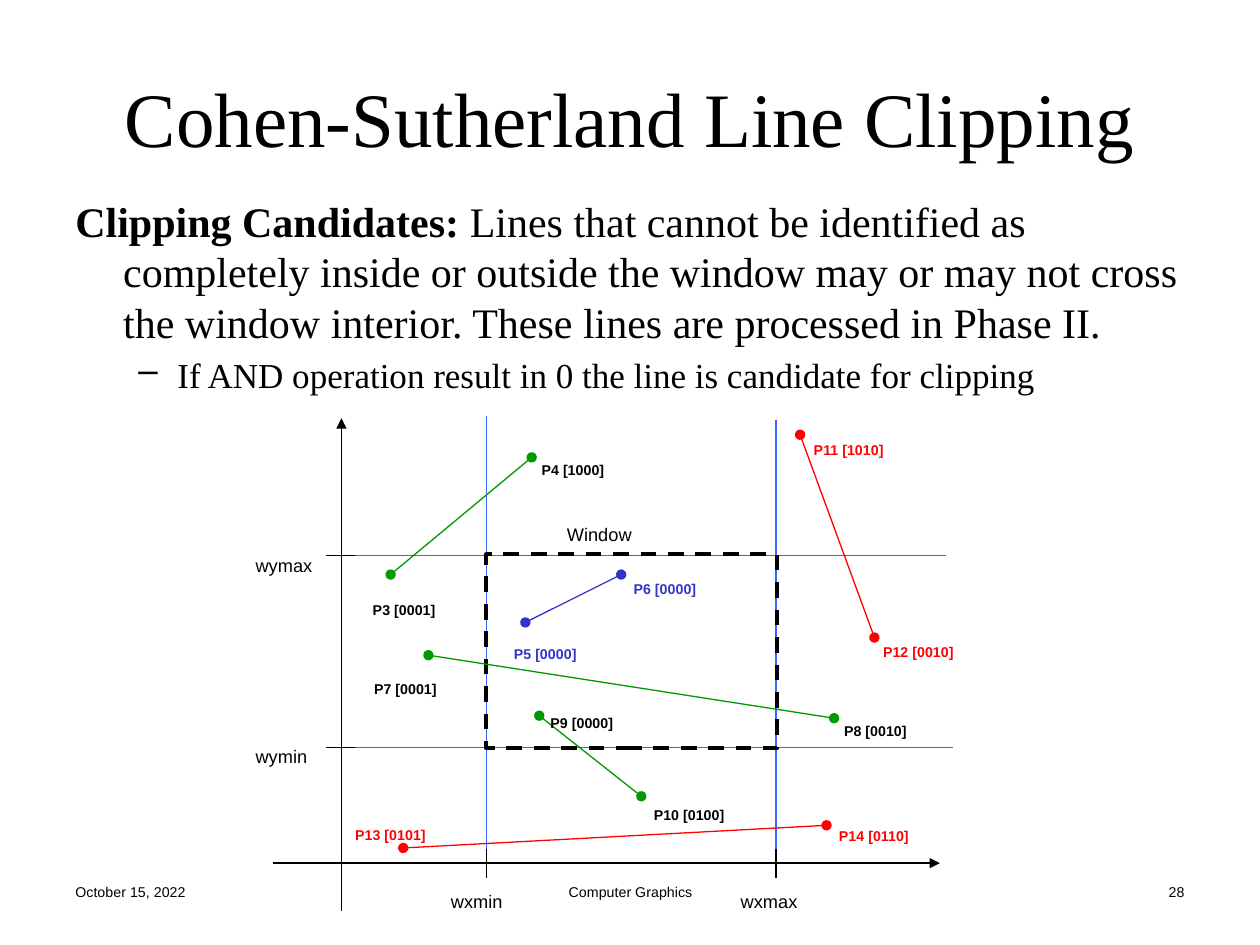
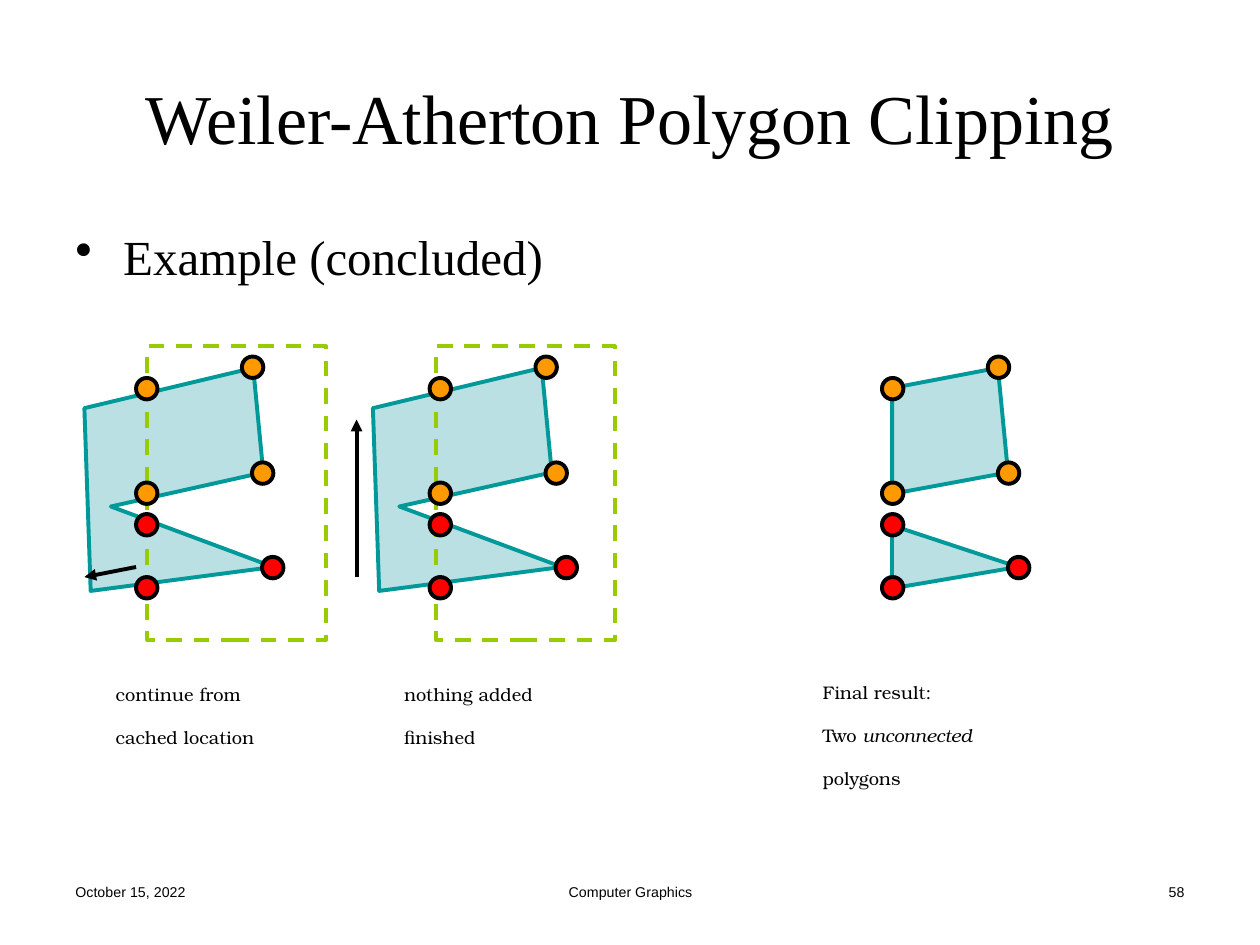
import pptx
import pptx.util
import pptx.dml.color
import pptx.enum.dml
import pptx.enum.shapes
import pptx.enum.text
import pptx.oxml
import pptx.oxml.ns
from lxml import etree

Inches = pptx.util.Inches
Pt = pptx.util.Pt
RGBColor = pptx.dml.color.RGBColor
Align = pptx.enum.text.PP_ALIGN
Shape = pptx.enum.shapes.MSO_SHAPE
qn = pptx.oxml.ns.qn

# Shared look
BLACK = RGBColor(0, 0, 0)
RED = RGBColor(0xFF, 0, 0)
GREEN = RGBColor(0, 0x99, 0)
INDIGO = RGBColor(0x33, 0x33, 0xCC)
GRID_BLUE = RGBColor(0x33, 0x66, 0xFF)
TEAL = RGBColor(0, 0x99, 0x99)
PALE_TEAL = RGBColor(0xBB, 0xE0, 0xE3)
LIME = RGBColor(0x99, 0xCC, 0)
ORANGE = RGBColor(0xFF, 0x99, 0)
SERIF, SANS, CAPTION = "Times New Roman", "Arial", "TeX Gyre Bonum"
THIN, THICK = 0.75, 2.25


def add_text_box(slide, left, top, width, height, middle=False):
    frame = slide.shapes.add_textbox(
        Inches(left), Inches(top), Inches(width), Inches(height)).text_frame
    frame.word_wrap = True
    if middle:
        frame.vertical_anchor = pptx.enum.text.MSO_ANCHOR.MIDDLE
    return frame


def add_run(paragraph, text, size, font, color=BLACK, bold=False, italic=False, lowered=False):
    run = paragraph.add_run()
    run.text = text
    run.font.size = Pt(size)
    run.font.name = font
    run.font.color.rgb = color
    run.font.bold = bold
    run.font.italic = italic
    if lowered:
        run.font._element.set("baseline", "-25000")


def set_indent(paragraph, margin, hanging, bullet=None):
    properties = paragraph._p.get_or_add_pPr()
    properties.set("marL", str(Inches(margin)))
    properties.set("indent", str(-Inches(hanging)))
    if bullet:
        etree.SubElement(properties, qn("a:buChar")).set("char", bullet)


def add_label(slide, text, left, top, width, height, size=14, color=BLACK,
              bold=False, align=Align.LEFT):
    paragraph = add_text_box(slide, left, top, width, height).paragraphs[0]
    paragraph.alignment = align
    add_run(paragraph, text, size, SANS, color, bold, lowered=True)


def add_caption(slide, left, top, width, lines):
    """Each line is a list of (text, italic) runs."""
    frame = add_text_box(slide, left, top, width, 0.7)
    for index, runs in enumerate(lines):
        paragraph = frame.add_paragraph() if index else frame.paragraphs[0]
        for text, italic in runs:
            add_run(paragraph, text, 18, CAPTION, italic=italic, lowered=True)


def add_line(slide, start, end, color=BLACK, width=THIN, head=None, tail=None):
    connector = slide.shapes.add_connector(
        pptx.enum.shapes.MSO_CONNECTOR.STRAIGHT, *map(Inches, (*start, *end)))
    connector.line.color.rgb = color
    connector.line.width = Pt(width)
    outline = connector.line._get_or_add_ln()
    for tag, kind in (("a:headEnd", head), ("a:tailEnd", tail)):
        if kind:
            etree.SubElement(outline, qn(tag)).set("type", kind)
    etree.SubElement(connector._element.spPr, qn("a:effectLst"))


def style_shape(shape, line_color, fill=None, dashed=False):
    shape.shadow.inherit = False
    if fill is None:
        shape.fill.background()
    else:
        shape.fill.solid()
        shape.fill.fore_color.rgb = fill
    shape.line.color.rgb = line_color
    shape.line.width = Pt(THICK)
    if dashed:
        shape.line.dash_style = pptx.enum.dml.MSO_LINE.DASH


def add_clip_window(slide, left, top, width, height, color):
    rectangle = slide.shapes.add_shape(
        Shape.RECTANGLE, Inches(left), Inches(top), Inches(width), Inches(height))
    style_shape(rectangle, color, dashed=True)


def add_polygon(slide, points, offset=0):
    corners = [(Inches(x + offset), Inches(y)) for x, y in points]
    builder = slide.shapes.build_freeform(*corners[0], scale=1.0)
    builder.add_line_segments(corners[1:], close=True)
    style_shape(builder.convert_to_shape(), TEAL, PALE_TEAL)


def add_vertices(slide, offset):
    """Mark the vertices of both clipped polygons."""
    diameter = 0.17
    vertices = [(ORANGE, [(1.08, 3), (1.92, 2.83), (2, 3.67), (1.08, 3.83)]),
                (RED, [(1.08, 4.08), (2.08, 4.42), (1.08, 4.58)])]
    for color, places in vertices:
        for x, y in places:
            dot = slide.shapes.add_shape(
                Shape.OVAL, Inches(x + offset), Inches(y), Inches(diameter), Inches(diameter))
            style_shape(dot, BLACK, color)


def add_base_slide(presentation, title, title_size, number):
    """Blank slide with the shared footer and title."""
    slide = presentation.slides.add_slide(presentation.slide_layouts[6])
    for text, left, width, align in (("October 15, 2022", 0.5, 2.33, Align.LEFT),
                                     ("Computer Graphics", 3.42, 3.17, Align.CENTER),
                                     (number, 7.17, 2.33, Align.RIGHT)):
        add_label(slide, text, left, 6.83, width, 0.52, align=align)
    paragraph = add_text_box(slide, 0.5, 0.3, 9, 1.25, middle=True).paragraphs[0]
    paragraph.alignment = Align.CENTER
    add_run(paragraph, title, title_size, SERIF)
    return slide


def build_line_clipping(presentation):
    slide = add_base_slide(presentation, "Cohen-Sutherland Line Clipping", 44, "28")

    # Definition
    body = add_text_box(slide, 0.5, 1.5, 9, 1.75)
    paragraph = body.paragraphs[0]
    set_indent(paragraph, 0.38, 0.38)
    add_run(paragraph, "Clipping Candidates: ", 24, SERIF, bold=True)
    add_run(paragraph, "Lines that cannot be identified as completely inside or outside the "
            "window may or may not cross the window interior. These lines are processed "
            "in Phase II.", 24, SERIF)
    paragraph = body.add_paragraph()
    set_indent(paragraph, 0.81, 0.31, "–")
    paragraph.space_before = Pt(4)
    add_run(paragraph, "If AND operation result in 0 the line is candidate for clipping", 20, SERIF)

    # Window boundaries, axes and window
    x_min, x_max, y_max, y_min = 3.86, 6.16, 4.41, 5.93
    add_line(slide, (x_min, 3.3), (x_min, 6.76), GRID_BLUE)
    add_line(slide, (x_max, 3.33), (x_max, 6.8), GRID_BLUE)
    add_line(slide, (7.51, y_max), (2.77, y_max), GRID_BLUE)
    add_line(slide, (7.56, y_min), (2.82, y_min), GRID_BLUE)
    add_line(slide, (2.17, 6.85), (7.46, 6.85), tail="triangle")
    add_line(slide, (2.71, 7.23), (2.71, 3.32), tail="triangle")
    add_clip_window(slide, x_min, 4.4, 2.31, 1.54, BLACK)

    # Ticks and axis labels
    for y in (y_max, y_min):
        add_line(slide, (2.82, y), (2.59, y))
    for x in (x_min, x_max):
        add_line(slide, (x, 6.74), (x, 6.97))
    for text, left, top in (("wymax", 1.93, 4.18), ("wymin", 1.93, 5.7), ("wxmin", 3.48, 6.85),
                            ("wxmax", 5.78, 6.85), ("Window", 4.4, 3.94)):
        add_label(slide, text, left, top, 1.09, 0.4, 18)

    # Segments to be classified
    for color, start, end in ((INDIGO, (4.17, 4.94), (4.93, 4.56)),
                              (GREEN, (3.1, 4.56), (4.22, 3.63)),
                              (GREEN, (4.28, 5.68), (5.09, 6.32)),
                              (GREEN, (3.4, 5.2), (6.62, 5.7)),
                              (RED, (6.94, 5.06), (6.35, 3.45)),
                              (RED, (3.2, 6.73), (6.56, 6.55))):
        add_line(slide, start, end, color, head="oval", tail="oval")

    # End points with their region codes
    for text, left, top, color in (("P3 [0001]", 2.86, 4.59, BLACK),
                                   ("P6 [0000]", 4.93, 4.43, INDIGO),
                                   ("P5 [0000]", 3.98, 4.94, INDIGO),
                                   ("P7 [0001]", 2.87, 5.22, BLACK),
                                   ("P10 [0100]", 5.09, 6.22, BLACK),
                                   ("P9 [0000]", 4.27, 5.49, BLACK),
                                   ("P4 [1000]", 4.2, 3.48, BLACK),
                                   ("P8 [0010]", 6.6, 5.55, BLACK),
                                   ("P12 [0010]", 6.91, 4.93, RED),
                                   ("P11 [1010]", 6.36, 3.32, RED),
                                   ("P13 [0101]", 2.72, 6.38, RED),
                                   ("P14 [0110]", 6.56, 6.39, RED)):
        add_label(slide, text, left, top, 1.08, 0.33, color=color, bold=True)


def build_polygon_clipping(presentation):
    slide = add_base_slide(presentation, "Weiler-Atherton Polygon Clipping", 40, "58")
    paragraph = add_text_box(slide, 0.5, 1.75, 9, 0.7).paragraphs[0]
    set_indent(paragraph, 0.38, 0.38, "•")
    add_run(paragraph, "Example (concluded)", 28, SERIF)

    # Two clipping steps
    subject = [(0.67, 3.24), (2.01, 2.92), (2.09, 3.75), (0.88, 4.02), (2.17, 4.5), (0.72, 4.69)]
    steps = [(0, 0, (1.08, 4.5), (0.67, 4.58), ("continue from", "cached location")),
             (2.29, 2.33, (2.83, 4.58), (2.83, 3.33), ("nothing added", "finished"))]
    for offset, vertex_offset, start, end, caption in steps:
        add_polygon(slide, subject, offset)
        add_clip_window(slide, 1.17 + offset, 2.75, 1.42, 2.33, LIME)
        add_line(slide, start, end, width=THICK, tail="triangle")
        add_caption(slide, 0.82 + offset, 5.21, 2.1, [[(line, False)] for line in caption])
        add_vertices(slide, vertex_offset)

    # Result
    add_polygon(slide, [(7.08, 3.92), (7.08, 3.08), (7.92, 2.92), (8, 3.75)])
    add_polygon(slide, [(7.08, 4.67), (7.08, 4.17), (8.08, 4.5)])
    add_vertices(slide, 5.92)
    add_caption(slide, 6.43, 5.19, 2.28, [[("Final result:", False)],
                                          [("Two ", False), ("unconnected", True)],
                                          [("polygons", False)]])


def main():
    presentation = pptx.Presentation()
    presentation.slide_width = Inches(10)
    presentation.slide_height = Inches(7.5)
    build_line_clipping(presentation)
    build_polygon_clipping(presentation)
    presentation.save("out.pptx")


if __name__ == "__main__":
    main()
